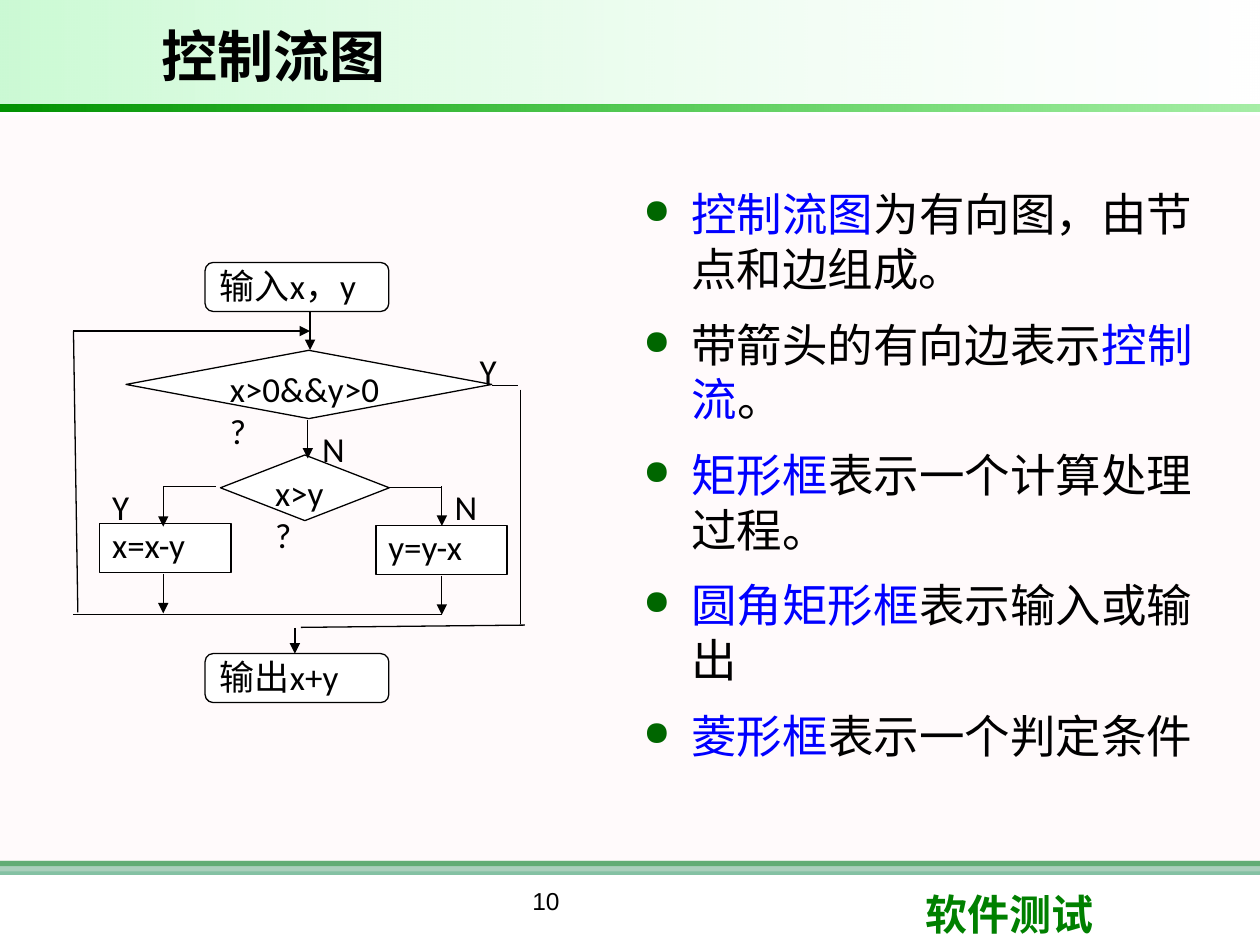
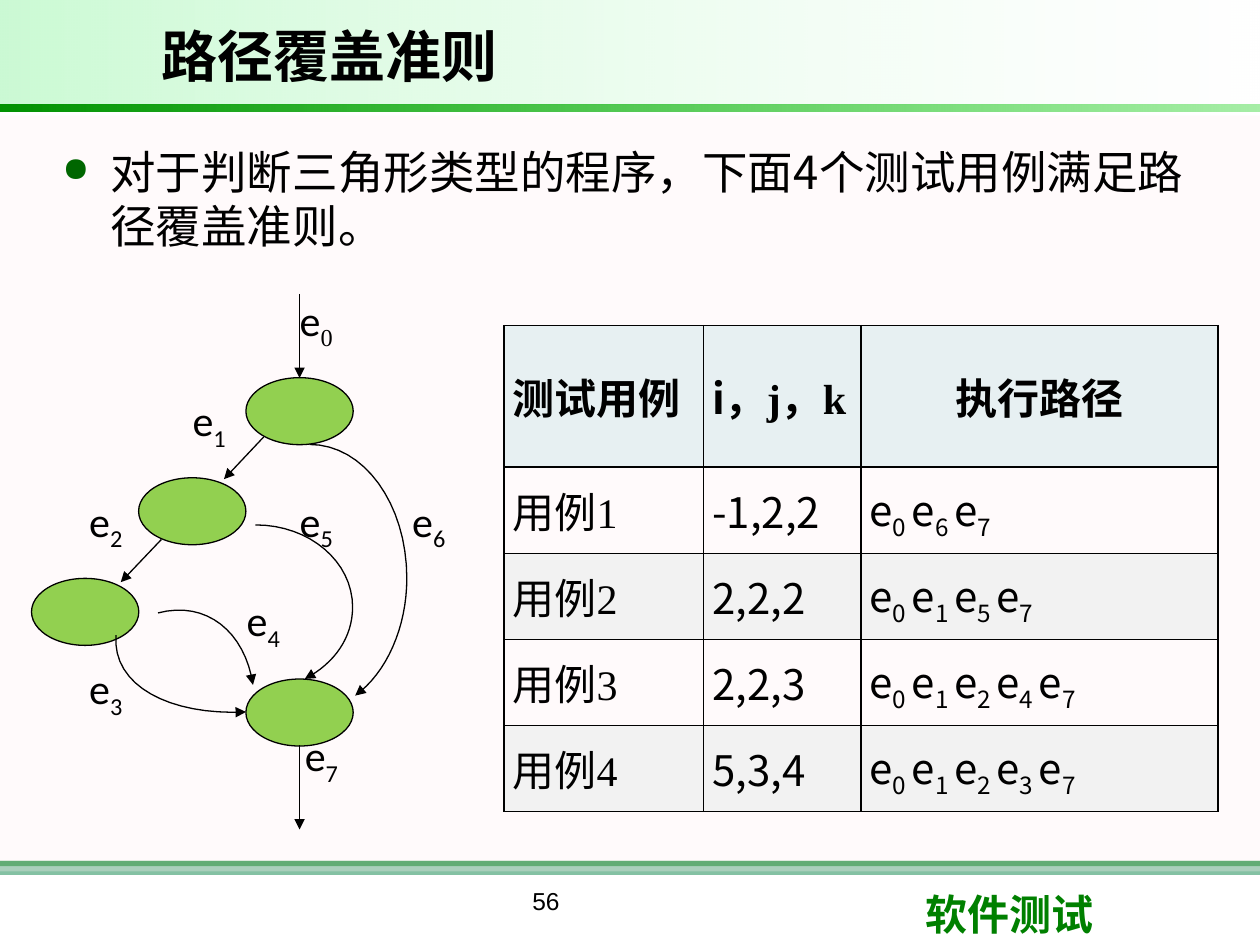
from lxml import etree
from pptx import Presentation
from pptx import util as u
from pptx.dml.color import RGBColor
from pptx.enum import shapes, text
from pptx.oxml.ns import qn

Pt = u.Pt
SHAPE = shapes.MSO_SHAPE
ALIGN = text.PP_ALIGN
ANCHOR = text.MSO_ANCHOR
BLACK, WHITE, BLUE, GREEN, LIME = "000000", "FFFFFF", "0000FF", "008000", "92D050"
CJK = "Noto Sans CJK SC"


def paint(color_format, colour, alpha=100):
    """Set a colour, with its opacity in percent."""
    color_format.rgb = RGBColor.from_string(colour)
    if alpha < 100:
        element = color_format._color._xClr
        etree.SubElement(element, qn("a:alpha"), val=str(alpha * 1000))


def write(frame, paragraphs, font=CJK, size=26, colour=BLACK, bold=False,
          align=ALIGN.LEFT, anchor=ANCHOR.TOP, margins=(7.2, 3.6), bullet=False):
    """Fill a text frame; a paragraph is a string or a list of (text, overrides)."""
    frame.word_wrap = True
    frame.vertical_anchor = anchor
    frame.margin_left = frame.margin_right = Pt(margins[0])
    frame.margin_top = frame.margin_bottom = Pt(margins[1])
    for index, runs in enumerate(paragraphs):
        paragraph = frame.add_paragraph() if index else frame.paragraphs[0]
        paragraph.alignment = align
        if bullet:
            paragraph.line_spacing = Pt(31.2)
            paragraph.space_before = Pt(6 if index else 0)
            paragraph.space_after = Pt(6)
            properties = paragraph._p.get_or_add_pPr()
            properties.set("marL", str(Pt(28)))
            properties.set("indent", str(-Pt(27.4)))
            bullet_colour = etree.SubElement(properties, qn("a:buClr"))
            etree.SubElement(bullet_colour, qn("a:srgbClr"), val="006600")
            etree.SubElement(properties, qn("a:buSzPct"), val="75000")
            etree.SubElement(properties, qn("a:buChar"), char="●")
        for content, override in [(runs, {})] if isinstance(runs, str) else runs:
            run = paragraph.add_run()
            run.text = content
            run.font.name = override.get("font", font)
            run.font.size = Pt(size)
            run.font.bold = bold
            paint(run.font.color, override.get("colour", colour))
            run_properties = run._r.get_or_add_rPr()
            etree.SubElement(run_properties, qn("a:ea"), typeface=CJK)
            if override.get("subscript"):
                run_properties.set("baseline", "-25000")


presentation = Presentation()
presentation.slide_width = Pt(720)
presentation.slide_height = Pt(540)

# Bands: left, top, width, height, then colour and opacity at each end
BANDS = [
    (0, 492, 720, 3, [(GREEN, 100)]),
    (0, 492, 720, 8, [("339966", 60)]),
    (0, 66, 720, 432, [("FFF0F5", 30)]),
    (0, 0, 720, 60, [("09E733", 21), (WHITE, 10)]),
    (0, 60, 720, 3.8, [("009200", 100), ("00CC00", 35)]),
]
highlight = {"colour": BLUE}
flow_points = [
    [("控制流图", highlight), ("为有向图，由节点和边组成。", {})],
    [("带箭头的有向边表示", {}), ("控制流", highlight), ("。", {})],
    [("矩形框", highlight), ("表示一个计算处理过程。", {})],
    [("圆角矩形框", highlight), ("表示输入或输出", {})],
    [("菱形框", highlight), ("表示一个判定条件", {})],
]
path_points = ["对于判断三角形类型的程序，下面4个测试用例满足路径覆盖准则。"]
pages = [
    ("控制流图", "10", flow_points, (360, 103, 342, 360)),
    ("路径覆盖准则", "56", path_points, (28, 78.5, 674, 402)),
]

# Shared frame, title, body and footer
for title, number, points, body in pages:
    slide = presentation.slides.add_slide(presentation.slide_layouts[6])
    for left, top, width, height, colours in BANDS:
        band = slide.shapes.add_shape(SHAPE.RECTANGLE, Pt(left), Pt(top), Pt(width), Pt(height))
        band.shadow.inherit = False
        band.line.fill.background()
        if len(colours) == 1:
            band.fill.solid()
            paint(band.fill.fore_color, *colours[0])
        else:
            band.fill.gradient()
            band.fill.gradient_angle = 0
            for stop, (colour, alpha) in zip(band.fill.gradient_stops, colours):
                paint(stop.color, colour, alpha)
    for place, content, style in [
        ((522, 504, 171, 36), ["软件测试"],
         dict(font="Arial", size=24, colour=GREEN, bold=True)),
        ((85, 6, 502, 51), [title],
         dict(font="Arial", size=32, bold=True, anchor=ANCHOR.MIDDLE)),
        (body, points, dict(bullet=True)),
        ((198, 502.5, 228, 37), [number],
         dict(font="Arial", size=14, align=ALIGN.CENTER)),
    ]:
        box = slide.shapes.add_textbox(*map(Pt, place))
        write(box.text_frame, content, **style)

flow_slide, path_slide = presentation.slides

# Flowchart boxes and branch labels
ROUNDED = SHAPE.FLOWCHART_ALTERNATE_PROCESS
DECISION = SHAPE.FLOWCHART_DECISION
PROCESS = SHAPE.FLOWCHART_PROCESS
flow_style = dict(font="Calibri", size=20, align=ALIGN.JUSTIFY)
for kind, left, top, width, height, label in [
    (ROUNDED, 117.2, 150, 105, 28, "输入x，y"),
    (DECISION, 72, 200.2, 209, 39, "x>0&&y>0?"),
    (DECISION, 126, 260, 96.5, 37.5, "x>y?"),
    (PROCESS, 57, 299.3, 75, 28, "x=x-y"),
    (PROCESS, 214.8, 300.5, 75, 28, "y=y-x"),
    (ROUNDED, 117.2, 373.5, 105, 28, "输出x+y"),
]:
    box = flow_slide.shapes.add_shape(kind, Pt(left), Pt(top), Pt(width), Pt(height))
    box.shadow.inherit = False
    box.fill.solid()
    paint(box.fill.fore_color, WHITE)
    paint(box.line.color, BLACK)
    box.line.width = Pt(0.75)
    write(box.text_frame, [label], margins=(7.2, 0), **flow_style)
for left, top, label in [(57, 273.6, "Y"), (267, 196, "Y"), (177, 240.5, "N"), (252.7, 273.6, "N")]:
    box = flow_slide.shapes.add_textbox(Pt(left), Pt(top), Pt(30), Pt(34))
    write(box.text_frame, [label], **flow_style)

# Graph nodes
for left, top in [(140.5, 388), (140.5, 215.8), (79.2, 273), (18, 330.5)]:
    node = path_slide.shapes.add_shape(SHAPE.OVAL, Pt(left), Pt(top), Pt(61.3), Pt(38.3))
    node.shadow.inherit = False
    node.fill.solid()
    paint(node.fill.fore_color, LIME)
    paint(node.line.color, BLACK)
    node.line.width = Pt(0.75)

# Straight edges: start x, start y, end x, end y, arrowhead
flow_edges = [
    (177.2, 178, 177.2, 200, True),
    (175.9, 240, 175.9, 262, True),
    (93.3, 278.5, 93.3, 301, True),
    (252.5, 278, 252.5, 300.5, True),
    (123.4, 278, 93.3, 278, False),
    (252.5, 278.5, 222.5, 278.5, False),
    (93.3, 328, 93.3, 350.5, True),
    (252.5, 329, 252.5, 351.3, True),
    (42, 351.2, 252.5, 351.2, False),
    (44.5, 350, 42, 189.2, False),
    (42, 189.2, 177.2, 189.2, True),
    (281.3, 220.3, 296, 220.3, False),
    (297.4, 222.7, 297.4, 356.5, False),
    (168.5, 358.8, 168.5, 373.5, True),
    (172, 358.5, 300, 357.2, False),
]
path_edges = [
    (171.2, 168, 171.2, 216, True),
    (171.2, 426, 171.2, 474, True),
    (150.7, 249.7, 128, 273.8, True),
    (92.2, 308.3, 69, 332.7, True),
]
lines = []
for slide, edges in [(flow_slide, flow_edges), (path_slide, path_edges)]:
    for *ends, arrow in edges:
        edge = slide.shapes.add_connector(shapes.MSO_CONNECTOR.STRAIGHT, *map(Pt, ends))
        lines.append((edge, arrow))

# Curved edges: a start point, then groups of two control points and an end point
STEPS = 16
for start, *controls in [
    [(177, 254), (208, 254), (232.5, 288), (232.5, 330.5), (232.5, 358.5), (221, 384.5), (203, 397.5)],
    [(146, 300), (177, 300), (201.5, 321), (201.5, 347), (201.5, 364), (191.5, 379), (174.2, 388)],
    [(90.3, 350.3), (118, 343), (140, 361), (144.6, 391.4)],
    [(66.3, 362.9), (64, 392), (97, 409), (140.6, 406.9)],
]:
    builder = path_slide.shapes.build_freeform(Pt(start[0]), Pt(start[1]))
    for first in range(0, len(controls), 3):
        curve = [start] + controls[first:first + 3]
        vertices = []
        for step in range(1, STEPS + 1):
            t = step / STEPS
            weights = ((1 - t) ** 3, 3 * t * (1 - t) ** 2, 3 * t ** 2 * (1 - t), t ** 3)
            vertices.append([Pt(sum(w * point[axis] for w, point in zip(weights, curve)))
                             for axis in (0, 1)])
        builder.add_line_segments(vertices, close=False)
        start = curve[-1]
    edge = builder.convert_to_shape()
    edge.fill.background()
    lines.append((edge, True))

for line, arrow in lines:
    paint(line.line.color, BLACK)
    line.line.width = Pt(0.75)
    properties = line._element.spPr
    etree.SubElement(properties, qn("a:effectLst"))
    if arrow:
        etree.SubElement(properties.find(qn("a:ln")), qn("a:tailEnd"), type="triangle")

# Edge labels, numbered from e0
for number, (left, top) in enumerate([
    (171.2, 168), (110, 225.5), (51, 283), (51, 378.7),
    (141, 340), (171.2, 283), (235.5, 283), (174.2, 417),
]):
    box = path_slide.shapes.add_textbox(Pt(left), Pt(top), Pt(59), Pt(38))
    digit_font = "Calibri" if number else "Times New Roman"
    write(box.text_frame, [[("e", {}), (str(number), {"subscript": True, "font": digit_font})]],
          font="Calibri", size=24, align=ALIGN.JUSTIFY, margins=(0, 0))

# Test case table
rows = [["测试用例", [("i", {"font": CJK}), ("，j，k", {})], "执行路径"]]
for number, (values, route) in enumerate(
        [("-1,2,2", "067"), ("2,2,2", "0157"), ("2,2,3", "01247"), ("5,3,4", "01237")], 1):
    path_runs = []
    for edge_number in route:
        gap = "" if edge_number == route[-1] else " "
        path_runs += [("e", {}), (edge_number + gap, {"subscript": True})]
    rows.append([f"用例{number}", values, path_runs])

table = path_slide.shapes.add_table(5, 3, Pt(288), Pt(186), Pt(408), Pt(277.8)).table
table.first_row = table.horz_banding = False
for column, width in zip(table.columns, (114, 90, 204)):
    column.width = Pt(width)
for row_index, contents in enumerate(rows):
    header = row_index == 0
    table.rows[row_index].height = Pt(81 if header else 49.2)
    for column_index, content in enumerate(contents):
        cell = table.cell(row_index, column_index)
        cell.vertical_anchor = ANCHOR.MIDDLE
        cell.margin_left = cell.margin_right = Pt(5)
        cell.margin_top = cell.margin_bottom = Pt(5.8)
        properties = cell._tc.get_or_add_tcPr()
        for side in ("a:lnL", "a:lnR", "a:lnT", "a:lnB"):
            border = etree.SubElement(properties, qn(side), w=str(Pt(1)))
            border_fill = etree.SubElement(border, qn("a:solidFill"))
            etree.SubElement(border_fill, qn("a:srgbClr"), val=BLACK)
        if header or row_index % 2 == 0:
            cell.fill.solid()
            paint(cell.fill.fore_color, *(("BADDE1", 34) if header else ("F2F2F2", 100)))
        else:
            cell.fill.background()
        write(cell.text_frame, [content], size=24, bold=header,
              font="Times New Roman" if header or column_index == 0 else CJK,
              align=ALIGN.CENTER if header and column_index == 2 else ALIGN.JUSTIFY,
              anchor=None, margins=(5, 5.8))

presentation.save("out.pptx")
